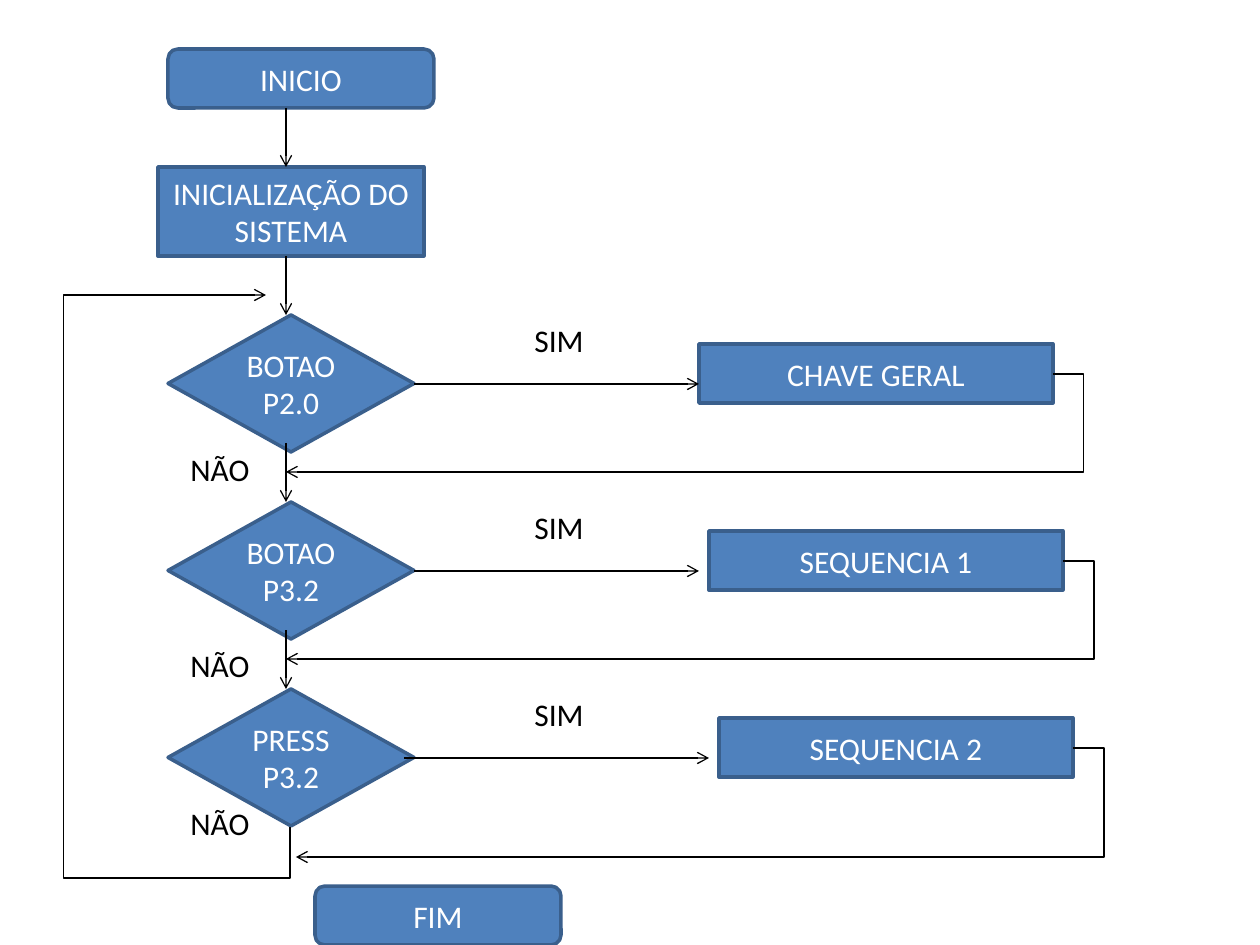
from dataclasses import dataclass

from lxml import etree
from pptx import Presentation
from pptx.dml.color import RGBColor
from pptx.enum.shapes import MSO_CONNECTOR, MSO_SHAPE
from pptx.enum.text import MSO_ANCHOR, MSO_AUTO_SIZE, PP_ALIGN
from pptx.oxml.ns import qn
from pptx.util import Pt

TERMINAL, PROCESS, DECISION = (
    MSO_SHAPE.ROUNDED_RECTANGLE, MSO_SHAPE.RECTANGLE, MSO_SHAPE.DIAMOND)
STRAIGHT, ELBOW = MSO_CONNECTOR.STRAIGHT, MSO_CONNECTOR.ELBOW
CENTER, LEFT = PP_ALIGN.CENTER, PP_ALIGN.LEFT
MIDDLE, TOP = MSO_ANCHOR.MIDDLE, MSO_ANCHOR.TOP
FIT_TEXT, NO_FIT = MSO_AUTO_SIZE.SHAPE_TO_FIT_TEXT, MSO_AUTO_SIZE.NONE
EMU_PER_PX = 914400 / 126


@dataclass(frozen=True)
class Theme:
    """Colours, type and line widths of the flowchart."""
    fill: RGBColor = RGBColor(0x4F, 0x81, 0xBD)
    outline: RGBColor = RGBColor(0x3A, 0x5F, 0x8C)
    on_fill: RGBColor = RGBColor(0xFF, 0xFF, 0xFF)
    ink: RGBColor = RGBColor(0, 0, 0)
    font: str = "Calibri"
    text_size: Pt = Pt(18)
    outline_width: Pt = Pt(2)
    arrow_width: Pt = Pt(0.75)


THEME = Theme()


def px(*lengths):
    """Turn pixel lengths into EMU."""
    return [round(length * EMU_PER_PX) for length in lengths]


def apply(target, formats):
    """Set each attribute named in a dict of format values."""
    for name, value in formats.items():
        setattr(target, name, value)


def write(shape, words, color, align, anchor, fit):
    """Put one formatted paragraph into a shape."""
    frame = shape.text_frame
    apply(frame, {"word_wrap": True, "vertical_anchor": anchor, "auto_size": fit})
    paragraph = frame.paragraphs[0]
    paragraph.alignment = align
    run = paragraph.add_run()
    run.text = words
    apply(run.font, {"name": THEME.font, "size": THEME.text_size})
    run.font.color.rgb = color


def step(slide, kind, box, words):
    """Draw a filled flowchart step in its box."""
    node = slide.shapes.add_shape(kind, *px(*box))
    node.shadow.inherit = False
    node.fill.solid()
    node.fill.fore_color.rgb = THEME.fill
    node.line.color.rgb = THEME.outline
    node.line.width = THEME.outline_width
    write(node, words, THEME.on_fill, CENTER, MIDDLE, NO_FIT)


def label(slide, box, words):
    """Write a branch label in its box."""
    branch = slide.shapes.add_textbox(*px(*box))
    write(branch, words, THEME.ink, LEFT, TOP, FIT_TEXT)


def arrow(slide, start, end, kind=STRAIGHT):
    """Draw a thin line with an open arrowhead at its end."""
    flow = slide.shapes.add_connector(kind, *px(*start, *end))
    flow.line.color.rgb = THEME.ink
    flow.line.width = THEME.arrow_width
    etree.SubElement(flow.line._get_or_add_ln(), qn("a:tailEnd"), type="arrow")
    etree.SubElement(flow._element.spPr, qn("a:effectLst"))
    return flow


def bend(flow, preset, ratios):
    """Set the elbow preset and the positions of its bends."""
    geometry = flow._element.spPr.find(qn("a:prstGeom"))
    geometry.set("prst", preset)
    guides = geometry.get_or_add_avLst()
    for number, ratio in enumerate(ratios, 1):
        etree.SubElement(guides, qn("a:gd"), name=f"adj{number}",
                         fmla=f"val {round(ratio * 100000)}")


def return_arrow(slide, start, end, overshoot):
    """Lead from an action out to the right, down and back to the flow."""
    flow = arrow(slide, start, end, ELBOW)
    bend(flow, "bentConnector3", [-overshoot / (start[0] - end[0])])


def loop_arrow(slide, start, end, floor, wall):
    """Lead down to the floor, along the left wall and up to the end."""
    run, rise = start[0] - end[0], start[1] - end[1]
    mid_x, mid_y = (start[0] + end[0]) / 2, (start[1] + end[1]) / 2
    flow = arrow(slide, (mid_x + rise / 2, mid_y - run / 2),
                 (mid_x - rise / 2, mid_y + run / 2), ELBOW)
    flow._element.spPr.find(qn("a:xfrm")).set("rot", str(90 * 60000))
    bend(flow, "bentConnector5",
         [(start[1] - floor) / rise, (start[0] - wall) / run, 1])


def opening(slide, left, top):
    """Draw the start and set-up steps with the arrows leaving them."""
    step(slide, TERMINAL, (left + 10, top, 266, 59), "INICIO")
    step(slide, PROCESS, (left, top + 118, 266, 89), "INICIALIZAÇÃO DO SISTEMA")
    for exit_y in (59, 207):
        arrow(slide, (left + 128, top + exit_y), (left + 128, top + exit_y + 59))


def decision_row(slide, left, top, row):
    """Draw one test, its action, both branch labels and their arrows."""
    action_x, exit_y, yes_y = left + row["action_x"], top + 59, top + 69
    step(slide, DECISION, (left, top, 246, 137), row["test"])
    step(slide, PROCESS, (action_x, top + 29, 354, 59), row["action"])
    arrow(slide, (left + row["yes"][0], yes_y), (left + row["yes"][1], yes_y))
    if row["continues"]:
        arrow(slide, (left + 118, top + 128), (left + 118, top + 187))
    return_arrow(slide, (action_x + 354, exit_y),
                 (left + row["back"][0], top + row["back"][1]), 31)
    label(slide, (left + 354, top, 79, 50), "SIM")
    label(slide, (left + 10, top + row["no_y"], row["no_width"], 50), "NÃO")


ROWS = [
    {"test": "BOTAO P2.0", "action": "CHAVE GERAL", "action_x": 531,
     "yes": (246, 531), "back": (118, 157), "no_y": 129, "no_width": 129,
     "continues": True},
    {"test": "BOTAO P3.2", "action": "SEQUENCIA 1", "action_x": 541,
     "yes": (246, 531), "back": (118, 157), "no_y": 138, "no_width": 88,
     "continues": True},
    {"test": "PRESS P3.2", "action": "SEQUENCIA 2", "action_x": 551,
     "yes": (236, 541), "back": (128, 168), "no_y": 109, "no_width": 88,
     "continues": False},
]


def flowchart(slide):
    """Place the opening, the decision rows, the loop and the end."""
    left, first_row, pitch = 168, 315, 187
    opening(slide, left - 10, 49)
    for index, row in enumerate(ROWS):
        decision_row(slide, left, first_row + index * pitch, row)
    loop_arrow(slide, (290, 827), (266, 295), floor=878, wall=64)
    step(slide, TERMINAL, (315, 886, 246, 59), "FIM")


deck = Presentation()
deck.slide_width, deck.slide_height = px(1260, 945)
flowchart(deck.slides.add_slide(deck.slide_layouts[6]))
deck.save("out.pptx")
